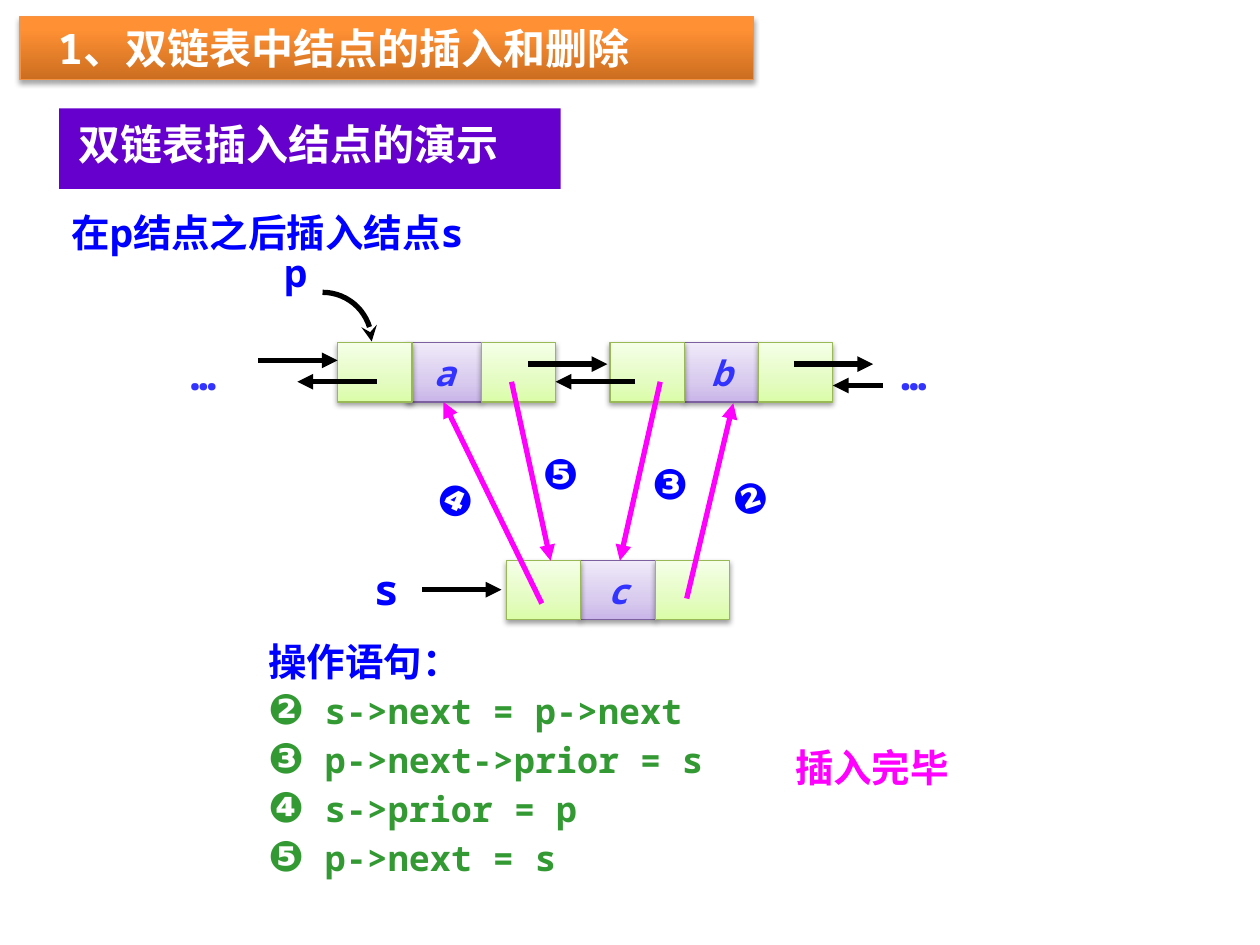
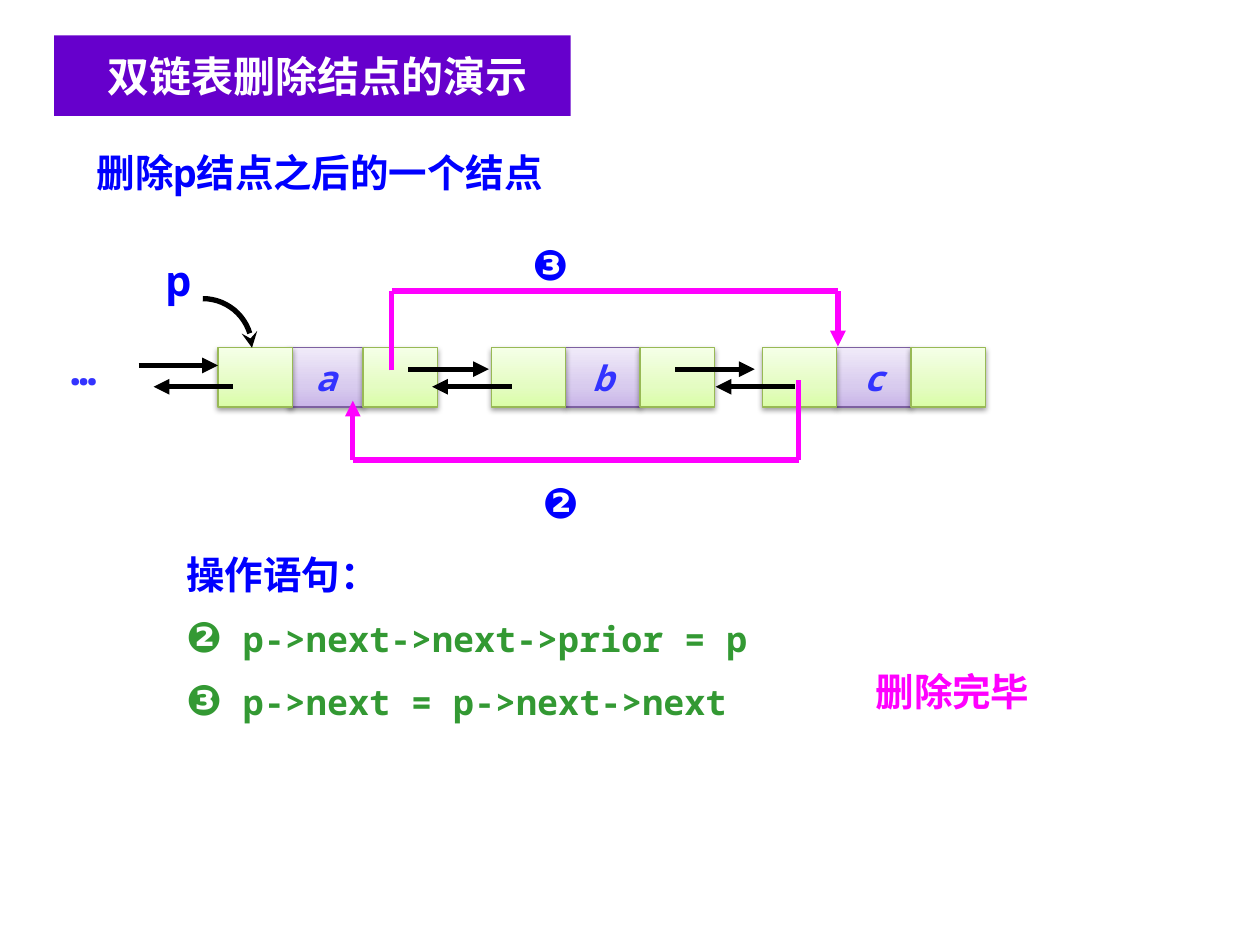
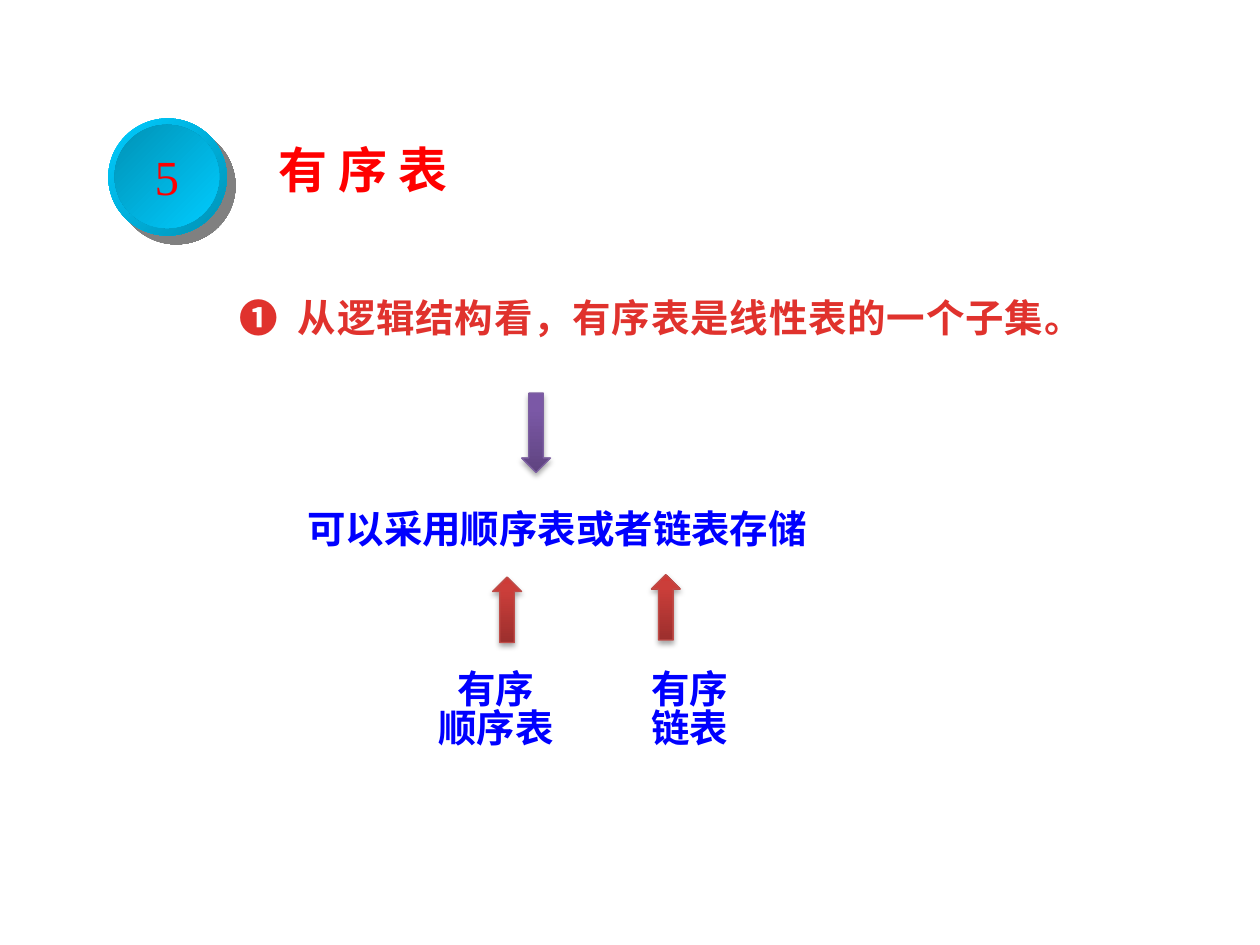
import math

import pptx
import pptx.dml.color
import pptx.enum.shapes
import pptx.enum.text
import pptx.oxml
import pptx.oxml.ns
import pptx.util
from lxml import etree

Inches = pptx.util.Inches
Pt = pptx.util.Pt
qn = pptx.oxml.ns.qn
SHAPE = pptx.enum.shapes.MSO_SHAPE
ALIGN = pptx.enum.text.PP_ALIGN
ANCHOR = pptx.enum.text.MSO_ANCHOR
AUTO_SIZE = pptx.enum.text.MSO_AUTO_SIZE

COLORS = {
    "black": "000000", "white": "FFFFFF", "blue": "0000FF", "label": "3333FF",
    "green": "339933", "magenta": "FF00FF", "red": "FF0000", "crimson": "E0322D",
    "band": "6600CC", "orange edge": "F69240", "data edge": "7D60A0",
    "pointer edge": "98B955", "up edge": "BF4C48", "disc shadow": "020202",
}
GRADIENTS = {
    "data": [(0, "C9B5E8"), (35, "D8CBEE"), (100, "F0EAF9")],
    "pointer": [(0, "DAFDA7"), (35, "E4FCC2"), (100, "F5FFE7")],
    "orange": [(0, "CC6E20"), (80, "FF9034"), (100, "FF9136")],
    "down": [(0, "5F4480"), (80, "7B58A6"), (100, "7C57A8")],
    "up": [(0, "9C2F2D"), (80, "CB3E3A"), (100, "CE3B37")],
    "rim": [(0, "00CCFF"), (100, "0092B6")],
    "disc": [(0, "0092B6"), (100, "00CCFF")],
}
CELL_SHADOW = ("black", 38, 3.15, 1.57, 90)
ARROW_SHADOW = ("black", 35, 3.15, 1.81, 90)
DISC_SHADOW = ("disc shadow", 50, 0, 7.1, 45)
MONO, CJK, SERIF = "Noto Sans Mono", "Noto Sans CJK SC", "Times New Roman"
CELL_W, CELL_H = 0.59, 0.47

INSERTION = {
    "heading": " 1、双链表中结点的插入和删除",
    "band": (" 双链表插入结点的演示", (0.47, 0.86, 3.98, 0.64), (0.08, 0.08), ALIGN.LEFT),
    "task": ("在p结点之后插入结点s", (0.47, 1.61, 4.33, 0.47)),
    "nodes": [("a", 2.68, 2.72, 0.55), ("b", 4.84, 2.72, CELL_W), ("c", 4.02, 4.45, CELL_W)],
    "links": [
        (2.05, 2.86, 2.68, 2.86), (4.19, 2.89, 4.82, 2.89), (6.3, 2.89, 6.93, 2.89),
        (2.99, 3.03, 2.36, 3.03), (5.04, 3.03, 4.41, 3.03), (7.01, 3.06, 6.61, 3.06),
        (3.35, 4.68, 3.98, 4.68),
    ],
    "new links": [
        [(5.45, 4.75), (5.82, 3.2)], [(5.24, 3.03), (4.92, 4.45)],
        [(4.3, 4.79), (3.52, 3.19)], [(4.06, 3.03), (4.37, 4.45)],
    ],
    "p curve": (2.56, 2.32),
    "pointers": [("p", 22, 2.16, 1.93), ("s", 24, 2.87, 4.42)],
    "dots": [(6.94, 2.72), (1.3, 2.72)],
    "steps": [("❷", 5.71, 3.69, 0.54, -18), ("❸", 5.08, 3.58, 0.47, 0),
              ("❹", 3.38, 3.72, 0.51, 24), ("❺", 4.21, 3.5, 0.47, 0)],
    "statements": [("❷", " s->next = p->next"), ("❸", " p->next->prior = s"),
                   ("❹", " s->prior = p"), ("❺", " p->next = s")],
    "statements at": (2.03, 5.16, 3.91, 2.06),
    "line spacing": 16,
    "done": ("插入完毕", (5.78, 5.86, 2.28, 0.47)),
}
DELETION = {
    "band": ("双链表删除结点的演示", (0.43, 0.28, 4.1, 0.64), (0.18, 0.12), ALIGN.CENTER),
    "task": ("删除p结点之后的一个结点", (0.67, 1.13, 5.43, 0.47)),
    "nodes": [("a", 1.73, 2.76, 0.56), ("b", 3.9, 2.76, CELL_W), ("c", 6.05, 2.76, CELL_W)],
    "links": [
        (1.1, 2.9, 1.73, 2.9), (3.24, 2.93, 3.88, 2.93), (5.36, 2.93, 5.99, 2.93),
        (1.85, 3.07, 1.22, 3.07), (4.06, 3.07, 3.43, 3.07), (6.31, 3.07, 5.68, 3.07),
    ],
    "new links": [
        [(6.34, 3.02), (6.34, 3.65), (2.8, 3.65), (2.8, 3.18)],
        [(3.11, 2.94), (3.11, 2.31), (6.65, 2.31), (6.65, 2.75)],
    ],
    "p curve": (1.61, 2.37),
    "pointers": [("p", 24, 1.22, 1.97)],
    "dots": [(0.35, 2.68)],
    "steps": [("❷", 4.21, 3.73, 0.47, 0), ("❸", 4.13, 1.84, 0.47, 0)],
    "statements": [("❷", " p->next->next->prior = p"), ("❸", " p->next = p->next->next")],
    "statements at": (1.38, 4.36, 5.04, 1.51),
    "line spacing": 24,
    "done": ("删除完毕", (6.42, 5.25, 2.28, 0.47)),
}
ORDERED_ARROWS = [
    (SHAPE.DOWN_ARROW, (4.14, 3.12, 0.23, 0.63), "down", "data edge"),
    (SHAPE.UP_ARROW, (3.91, 4.58, 0.23, 0.52), "up", "up edge"),
    (SHAPE.UP_ARROW, (5.17, 4.56, 0.23, 0.52), "up", "up edge"),
]
ORDERED_KINDS = [(("有序", "顺序表"), (3.28, 5.29, 1.31, 0.72)),
                 (("有序", "链表"), (4.77, 5.29, 1.41, 0.72))]


def rgb(name):
    return pptx.dml.color.RGBColor.from_string(COLORS[name])


def place(shape, box):
    shape.left, shape.top, shape.width, shape.height = map(Inches, box)


def paint(shape, gradient, angle, edge=None, shadow=None):
    shape.fill.gradient()
    grad = shape.element.spPr.find(qn("a:gradFill"))
    stops = "".join(f'<a:gs pos="{pos * 1000}"><a:srgbClr val="{color}"/></a:gs>'
                    for pos, color in GRADIENTS[gradient])
    grad.getparent().replace(grad, pptx.oxml.parse_xml(
        f'<a:gradFill {pptx.oxml.ns.nsdecls("a")} rotWithShape="1"><a:gsLst>{stops}</a:gsLst>'
        f'<a:lin ang="{angle * 60000}" scaled="0"/></a:gradFill>'))
    if edge:
        shape.line.color.rgb = rgb(edge)
        shape.line.width = Pt(0.75)
    else:
        shape.line.fill.background()
    shape.shadow.inherit = False
    if shadow:
        color, alpha, blur, distance, direction = shadow
        effects = shape.element.spPr.find(qn("a:effectLst"))
        effects.append(pptx.oxml.parse_xml(
            f'<a:outerShdw {pptx.oxml.ns.nsdecls("a")} blurRad="{Pt(blur)}" dist="{Pt(distance)}" '
            f'dir="{direction * 60000}" rotWithShape="0"><a:srgbClr val="{COLORS[color]}">'
            f'<a:alpha val="{alpha * 1000}"/></a:srgbClr></a:outerShdw>'))


def write(frame, paragraphs, font=MONO, align=ALIGN.LEFT, bold=True, italic=False,
          line=None, before=0):
    for index, runs in enumerate(paragraphs):
        paragraph = frame.add_paragraph() if index else frame.paragraphs[0]
        paragraph.alignment = align
        paragraph.space_before = Pt(before)
        if line:
            paragraph.line_spacing = Pt(line)
        for text, size, color, *spacing in runs:
            run = paragraph.add_run()
            run.text = text
            run.font.name = font
            run.font.size = Pt(size)
            run.font.bold = bold
            run.font.italic = italic
            run.font.color.rgb = rgb(color)
            props = run.font._element
            props.find(qn("a:latin")).addnext(
                props.makeelement(qn("a:ea"), {"typeface": CJK}))
            if spacing:
                props.set("spc", str(int(spacing[0] * 100)))


def add_text(slide, box, paragraphs, turn=0, **style):
    textbox = slide.shapes.add_textbox(*map(Inches, box))
    textbox.rotation = turn
    textbox.text_frame.word_wrap = True
    write(textbox.text_frame, paragraphs, **style)


def prepare(holder, box, insets=(0.1, 0.05)):
    place(holder, box)
    frame = holder.text_frame
    frame.word_wrap = True
    frame.auto_size = AUTO_SIZE.NONE
    frame.vertical_anchor = ANCHOR.TOP
    frame.margin_left, frame.margin_top = map(Inches, insets)
    return frame


def add_arrowhead(shape, kind):
    etree.SubElement(shape.element.spPr.find(qn("a:ln")), qn("a:tailEnd"), type=kind)


def add_link(slide, start, end, color, arrow=True):
    link = slide.shapes.add_connector(
        pptx.enum.shapes.MSO_CONNECTOR.STRAIGHT, *map(Inches, (*start, *end)))
    link.line.color.rgb = rgb(color)
    link.line.width = Pt(3)
    etree.SubElement(link.element.spPr, qn("a:effectLst"))
    if arrow:
        add_arrowhead(link, "triangle")


def add_p_curve(slide, left, top, radius=0.39, steps=16):
    angles = [math.pi / 2 * step / steps for step in range(steps + 1)]
    points = [(Inches(left + radius * math.sin(angle)),
               Inches(top + radius * (1 - math.cos(angle)))) for angle in angles]
    builder = slide.shapes.build_freeform(*points[0])
    builder.add_line_segments(points[1:], close=False)
    curve = builder.convert_to_shape()
    curve.fill.background()
    curve.line.color.rgb = rgb("black")
    curve.line.width = Pt(3)
    curve.shadow.inherit = False
    add_arrowhead(curve, "stealth")


def add_node(slide, label, left, top, data_offset):
    cells = [(data_offset, "data", label), (data_offset + CELL_W, "pointer", ""), (0, "pointer", "")]
    for offset, role, text in cells:
        cell = slide.shapes.add_shape(
            SHAPE.RECTANGLE, *map(Inches, (left + offset, top, CELL_W, CELL_H)))
        paint(cell, role, 270, f"{role} edge", CELL_SHADOW)
        if text:
            cell.text_frame.word_wrap = False
            cell.text_frame.vertical_anchor = ANCHOR.MIDDLE
            write(cell.text_frame, [[(text, 20, "label")]], align=ALIGN.CENTER, italic=True)


def add_band(slide, holder, text, box, insets, align):
    frame = prepare(holder, box, insets)
    holder.fill.solid()
    holder.fill.fore_color.rgb = rgb("band")
    holder.line.fill.background()
    holder.shadow.inherit = False
    write(frame, [[(text, 24, "white")]], align=align)


def add_statements(holder, demo):
    frame = prepare(holder, demo["statements at"])
    lines = [[("操作语句：", 22, "blue")]]
    lines += [[(number, 24, "green"), (code, 20, "green")] for number, code in demo["statements"]]
    write(frame, lines, line=demo["line spacing"], before=12)
    for paragraph in frame.paragraphs:
        props = paragraph._p.get_or_add_pPr()
        props.set("marL", "0")
        props.set("indent", "0")
        etree.SubElement(props, qn("a:buNone"))


def build_demo(deck, demo):
    slide = deck.slides.add_slide(deck.slide_layouts[1])
    title, statements = slide.placeholders
    for node in demo["nodes"]:
        add_node(slide, *node)
    for x1, y1, x2, y2 in demo["links"]:
        add_link(slide, (x1, y1), (x2, y2), "black")
    add_p_curve(slide, *demo["p curve"])
    for route in demo["new links"]:
        for start, end in zip(route, route[1:]):
            add_link(slide, start, end, "magenta", end == route[-1])
    for name, size, left, top in demo["pointers"]:
        add_text(slide, (left, top, 0.47, 0.5), [[(name, size, "blue")]])
    for left, top in demo["dots"]:
        add_text(slide, (left, top, 0.63, 0.5), [[("…", 24, "label")]], align=ALIGN.CENTER)
    for number, left, top, width, turn in demo["steps"]:
        add_text(slide, (left, top, width, 0.5), [[(number, 24, "blue")]], turn)
    task, task_box = demo["task"]
    add_text(slide, task_box, [[(task, 22, "blue")]])
    done, done_box = demo["done"]
    add_text(slide, done_box, [[(done, 22, "magenta")]], align=ALIGN.CENTER)
    add_statements(statements, demo)
    band = title
    if "heading" in demo:
        frame = prepare(title, (0.16, 0.13, 5.82, 0.5))
        paint(title, "orange", 270, "orange edge", ARROW_SHADOW)
        write(frame, [[(demo["heading"], 24, "white")]])
        band = slide.shapes.add_shape(SHAPE.RECTANGLE, 0, 0, 0, 0)
    add_band(slide, band, *demo["band"])


def build_ordered_list(deck):
    slide = deck.slides.add_slide(deck.slide_layouts[5])
    rim = slide.shapes.add_shape(SHAPE.OVAL, *map(Inches, (0.86, 0.94, 0.94, 0.93)))
    paint(rim, "rim", 45, shadow=DISC_SHADOW)
    disc = slide.shapes.add_shape(SHAPE.OVAL, *map(Inches, (0.91, 0.99, 0.83, 0.82)))
    paint(disc, "disc", 45)
    disc.text_frame.word_wrap = False
    disc.text_frame.vertical_anchor = ANCHOR.MIDDLE
    write(disc.text_frame, [[("5", 28, "red")]], font=SERIF, align=ALIGN.CENTER, bold=False)
    write(prepare(slide.shapes.title, (2.11, 1.06, 2.42, 0.58)),
          [[("有 序 表", 28, "red")]], font=CJK)
    add_text(slide, (1.8, 2.29, 6.88, 0.51),
             [[("❶", 22, "crimson", 0.5), (" ", 22, "crimson", 6),
               ("从逻辑结构看，有序表是线性表的一个子集。", 22, "crimson", 0.5)]],
             font=CJK, line=26)
    add_text(slide, (2.34, 3.96, 4.45, 0.51),
             [[("可以采用顺序表或者链表存储", 22, "blue")]], font=CJK)
    for preset, box, gradient, edge in ORDERED_ARROWS:
        arrow = slide.shapes.add_shape(preset, *map(Inches, box))
        paint(arrow, gradient, 270, edge, ARROW_SHADOW)
    for lines, box in ORDERED_KINDS:
        add_text(slide, box, [[(text, 22, "blue")] for text in lines],
                 font=CJK, align=ALIGN.CENTER, line=22)


def main():
    deck = pptx.Presentation()
    deck.slide_width, deck.slide_height = Inches(10), Inches(7.5)
    for demo in (INSERTION, DELETION):
        build_demo(deck, demo)
    build_ordered_list(deck)
    deck.save("out.pptx")


if __name__ == "__main__":
    main()
